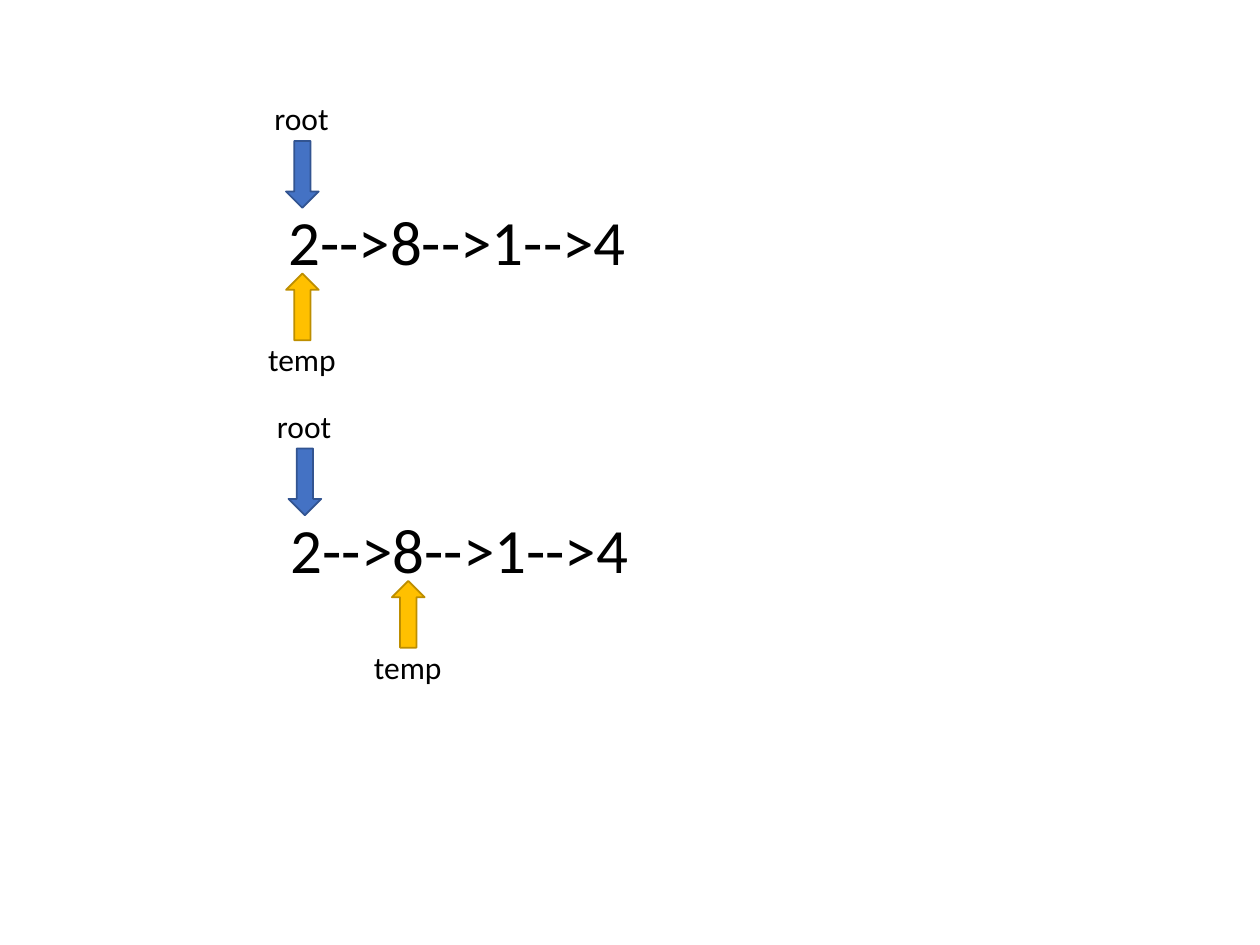
from pptx import Presentation
from pptx.dml.color import RGBColor
from pptx.enum.shapes import MSO_SHAPE
from pptx.enum.text import MSO_AUTO_SIZE
from pptx.util import Inches, Pt

COLUMNS, ROWS = 100, 75
WIDTH, HEIGHT = Inches(10), Inches(7.5)
NODE_STEP = 8.2
LIST_TEXT = "2-->8-->1-->4"


def colour(hex_value):
    """Turn a hex string into a colour."""
    return RGBColor.from_string(hex_value)


def grid_box(column, row, columns, rows):
    """Turn grid units into left, top, width and height."""
    return (
        round(column * WIDTH / COLUMNS),
        round(row * HEIGHT / ROWS),
        round(columns * WIDTH / COLUMNS),
        round(rows * HEIGHT / ROWS),
    )


def add_text(group, text, size, column, row, columns, rows):
    """Add one line of unwrapped text."""
    box = group.shapes.add_textbox(*grid_box(column, row, columns, rows))
    frame = box.text_frame
    frame.word_wrap = False
    frame.auto_size = MSO_AUTO_SIZE.SHAPE_TO_FIT_TEXT
    span = frame.paragraphs[0].add_run()
    span.text = text
    span.font.name = "Calibri"
    span.font.size = Pt(size)
    span.font.color.rgb = colour("000000")


def add_arrow(group, centre, row, fill, line, rotation=0):
    """Add a block arrow centred on a column."""
    arrow = group.shapes.add_shape(
        MSO_SHAPE.DOWN_ARROW, *grid_box(centre - 1.3, row, 2.6, 5.3)
    )
    arrow.rotation = rotation
    arrow.shadow.inherit = False
    arrow.fill.solid()
    arrow.fill.fore_color.rgb = colour(fill)
    arrow.line.color.rgb = colour(line)
    arrow.line.width = Pt(1)


def add_list_state(page, head, row, temp_node):
    """Add the linked list with its root and temp pointers."""
    group = page.shapes.add_group_shape()
    temp = head + temp_node * NODE_STEP
    add_text(group, LIST_TEXT, 36, head - 2.1, row, 29, 7.1)
    add_arrow(group, head, row - 4.4, "4472C4", "325491")
    add_arrow(group, temp, row + 6.1, "FFC000", "BD8E00", rotation=180)
    add_text(group, "root", 18, head - 3.2, row - 8.2, 6.4, 4)
    add_text(group, "temp", 18, temp - 3.7, row + 10.9, 7.4, 4)


def main():
    """Build the slide and save it."""
    deck = Presentation()
    deck.slide_width, deck.slide_height = WIDTH, HEIGHT
    page = deck.slides.add_slide(deck.slide_layouts[6])
    add_list_state(page, head=24, row=15.6, temp_node=0)
    add_list_state(page, head=24.2, row=40, temp_node=1)
    deck.save("out.pptx")


if __name__ == "__main__":
    main()
